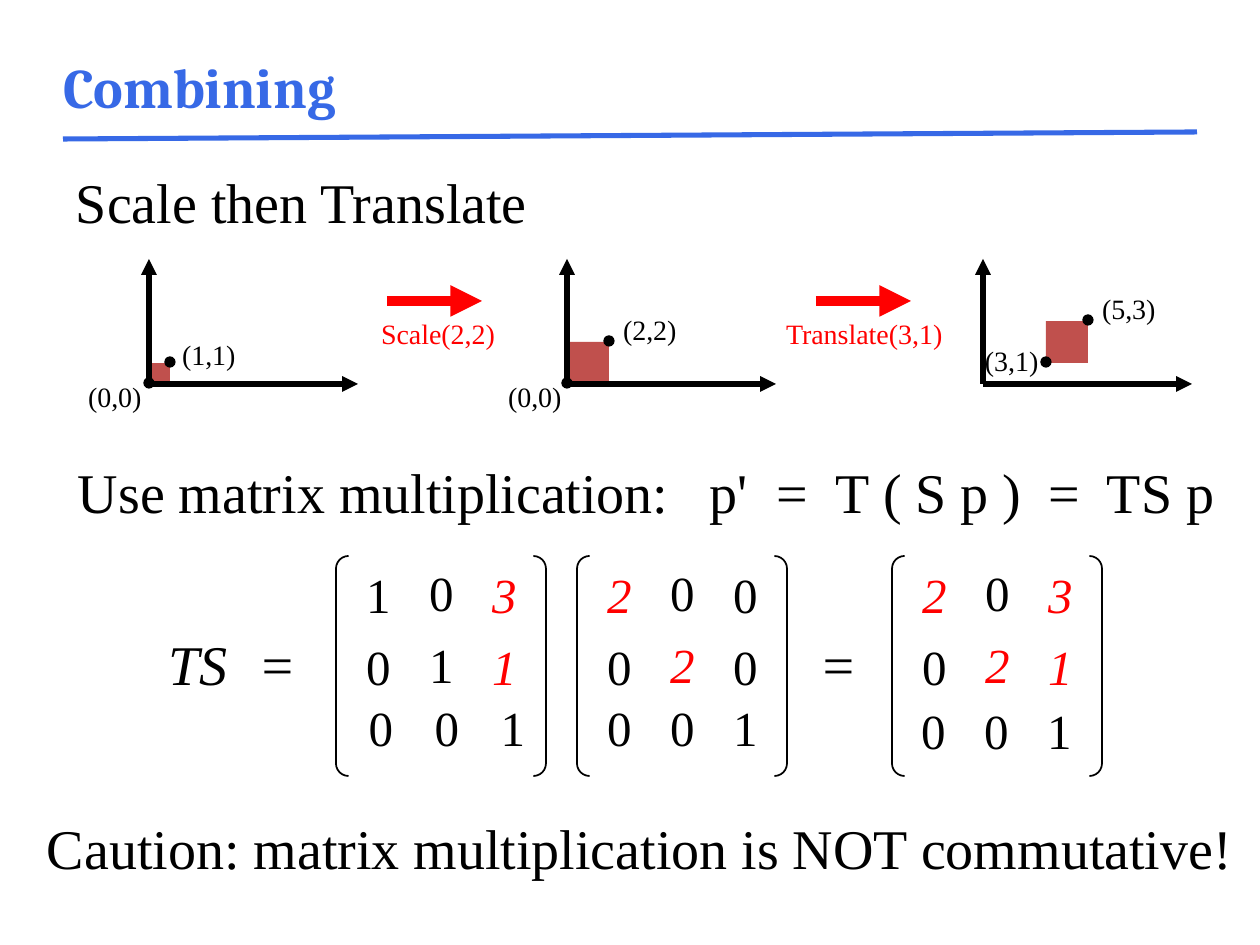
"""Build the slide on combining scale and translate matrices."""
from dataclasses import dataclass

from lxml import etree
from pptx import Presentation
from pptx.dml.color import RGBColor
from pptx.enum.shapes import MSO_CONNECTOR, MSO_SHAPE
from pptx.enum.text import MSO_ANCHOR, PP_ALIGN
from pptx.oxml.ns import qn
from pptx.util import Pt

LEFT, CENTER = PP_ALIGN.LEFT, PP_ALIGN.CENTER
MIDDLE, TOP = MSO_ANCHOR.MIDDLE, MSO_ANCHOR.TOP
STRAIGHT = MSO_CONNECTOR.STRAIGHT
RECT, OVAL, BRACKETS = MSO_SHAPE.RECTANGLE, MSO_SHAPE.OVAL, MSO_SHAPE.DOUBLE_BRACKET
PX = 914400 / 126


@dataclass(frozen=True)
class Theme:
    blue: RGBColor = RGBColor(0x37, 0x69, 0xE6)
    brick: RGBColor = RGBColor(0xC0, 0x50, 0x4D)
    red: RGBColor = RGBColor(0xFF, 0x00, 0x00)
    black: RGBColor = RGBColor(0x00, 0x00, 0x00)
    heading: str = "Cambria"
    body: str = "Times New Roman"
    large: Pt = Pt(32)
    digit: Pt = Pt(28)
    label: Pt = Pt(16)
    gap: Pt = Pt(7.7)


theme = Theme()


def add_text(box, lines, size, colors, inset=(0, 0), align=LEFT, italic=(False,), tabs=()):
    x, y, w, h = box
    sp = s.shapes.add_textbox(*(round(v * PX) for v in (x, y, w, h)))
    tf = sp.text_frame
    tf.word_wrap = True
    tf.vertical_anchor = TOP
    tf.margin_left = tf.margin_right = round(inset[0] * PX)
    tf.margin_top = tf.margin_bottom = round(inset[1] * PX)
    for i, line in enumerate(lines):
        p = tf.paragraphs[0] if i == 0 else tf.add_paragraph()
        p.text = line
        p.alignment = align
        p.space_before = theme.gap
        p.font.name = theme.body
        p.font.size = size
        p.font.color.rgb = colors[i]
        p.font.italic = italic[i]
        if tabs:
            stops = etree.Element(qn("a:tabLst"))
            for tab in tabs:
                etree.SubElement(stops, qn("a:tab"), pos=str(round(tab * PX)), algn="l")
            p._p.get_or_add_pPr().insert_element_before(stops, "a:defRPr", "a:extLst")


def add_line(x1, y1, x2, y2, color, width, arrow=True):
    line = s.shapes.add_connector(STRAIGHT, *(round(v * PX) for v in (x1, y1, x2, y2)))
    line.line.color.rgb = color
    line.line.width = Pt(width)
    if arrow:
        etree.SubElement(line._element.spPr.find(qn("a:ln")), qn("a:tailEnd"), type="triangle")
    etree.SubElement(line._element.spPr, qn("a:effectLst"))


prs = Presentation()
prs.slide_width, prs.slide_height = round(1260 * PX), round(945 * PX)
s = prs.slides.add_slide(prs.slide_layouts[5])

title = s.shapes.title
title.left, title.top, title.width, title.height = (round(v * PX) for v in (63, 8, 1134, 157))
tf = title.text_frame
tf.margin_left = tf.margin_right = tf.margin_top = tf.margin_bottom = 0
tf.vertical_anchor = MIDDLE
p = tf.paragraphs[0]
p.text = "Combining"
p.alignment = LEFT
p.font.name, p.font.size, p.font.bold = theme.heading, theme.large, True
p.font.color.rgb = theme.blue
add_line(63, 139, 1197, 132, theme.blue, 2.89, arrow=False)

unit, base, dot = 21, 384, 10
plots = [
    (149, (0, 0), (1, 1), (76, 374), (170, 331)),
    (567, (0, 0), (2, 2), (496, 374), (611, 306)),
    (983, (3, 1), (5, 3), (973, 338), (1090, 286)),
]
for origin, low, high, low_label, high_label in plots:
    side = (high[0] - low[0]) * unit
    marks = [(RECT, origin + low[0] * unit, base - high[1] * unit, side, theme.brick)]
    for px, py in (low, high):
        marks.append((OVAL, origin + px * unit - dot // 2, base - 1 - py * unit - dot // 2, dot, theme.black))
    for kind, x, y, size, color in marks:
        sp = s.shapes.add_shape(kind, *(round(v * PX) for v in (x, y, size, size)))
        sp.shadow.inherit = False
        sp.fill.solid()
        sp.fill.fore_color.rgb = color
        if kind == OVAL:
            sp.line.color.rgb = color
            sp.line.width = Pt(0.75)
        else:
            sp.line.fill.background()
    for point, (x, y) in ((low, low_label), (high, high_label)):
        add_text((x, y, 81, 47), [f"({point[0]},{point[1]})"], theme.label, [theme.black], (12, 6))
    add_line(origin, base, origin, 259, theme.black, 3)
    add_line(origin, base, origin + 209, base, theme.black, 3)

for name, x, width, start in (("Scale(2,2)", 369, 155, 387), ("Translate(3,1)", 774, 197, 816)):
    add_text((x, 311, width, 47), [name], theme.label, [theme.red], (12, 6))
    add_line(start, 301, start + 95, 301, theme.red, 6)

statements = [
    ("Scale then Translate", 64, 161, 476, ()),
    ("Use matrix multiplication:\tp'\t=\tT ( S p )\t=\tTS p", 66, 451, 1172, (632, 699, 758, 971, 1029)),
    ("Caution: matrix multiplication is NOT commutative!", 35, 808, 1222, ()),
]
for text, x, y, width, tabs in statements:
    add_text((x, y, width, 79), [text], theme.large, [theme.black], (12, 6), tabs=tabs)

add_text((168, 629, 147, 67), ["TS\t="], theme.large, [theme.black], italic=[True], tabs=(90,))
add_text((819, 629, 42, 67), ["="], theme.large, [theme.black], italic=[True])

matrices = [
    (336, ["10", "01", "31"], {(2, 0), (2, 1)}, 348, 66, 697),
    (577, ["20", "02", "00"], {(0, 0), (1, 1)}, 588, 63, 697),
    (892, ["20", "02", "31"], {(0, 0), (1, 1), (2, 0), (2, 1)}, 902, 63, 701),
]
for left, columns, marked, last_left, last_step, last_top in matrices:
    sp = s.shapes.add_shape(BRACKETS, *(round(v * PX) for v in (left, 556, 210, 220)))
    sp.shadow.inherit = False
    sp.adjustments[0] = 0.06
    sp.fill.background()
    sp.line.color.rgb = theme.black
    sp.line.width = Pt(1)
    for col, digits in enumerate(columns):
        slanted = [(col, row) in marked for row in range(2)]
        colors = [theme.red if on else theme.black for on in slanted]
        box = (left + 11 + col * 63, 562 if col == 1 else 564, 63, 134)
        add_text(box, digits, theme.digit, colors, align=CENTER, italic=slanted)
    for col, digit in enumerate("001"):
        box = (last_left + col * last_step, last_top, last_step, 58)
        add_text(box, [digit], theme.digit, [theme.black], align=CENTER)

prs.save("out.pptx")
